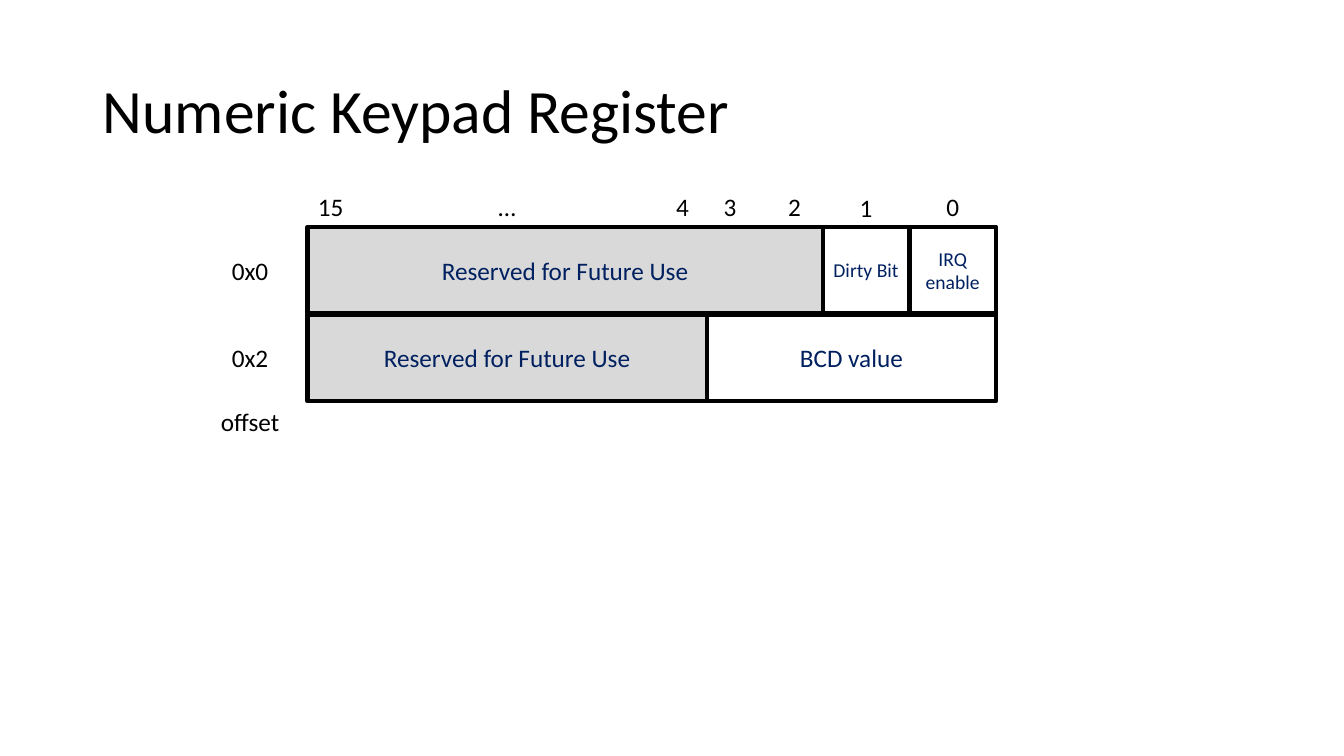
from dataclasses import dataclass
from typing import Optional

from pptx import Presentation
from pptx import util as u
from pptx.dml.color import RGBColor
from pptx.enum import shapes, text


@dataclass(frozen=True)
class Theme:
    """Colours, font and type sizes of the deck."""
    font: str = "Calibri"
    black: str = "000000"
    navy: str = "002060"
    grey: str = "D9D9D9"
    white: str = "FFFFFF"
    title_size: int = 44
    body_size: int = 18
    small_size: int = 14
    border: int = 3


@dataclass(frozen=True)
class Field:
    """A register field between two horizontal edges, in inches."""
    name: str
    row: int
    left: float
    right: float
    fill: Optional[str]
    size: int


@dataclass(frozen=True)
class Label:
    """A caption centred on a point, in inches."""
    caption: str
    center: float
    top: float
    width: float = 0.33


THEME = Theme()
ROW_TOP, ROW_PITCH, FIELD_HEIGHT = 2.25, 0.87, 0.86
LABEL_HEIGHT, BIT_TOP = 0.4, 1.85
LEFT, VALUE_LEFT, DIRTY_LEFT, IRQ_LEFT, RIGHT = 3.05, 7.01, 8.16, 9.02, 9.88
OFFSET_CENTER = 2.48

FIELDS = [
    Field("IRQ enable", 0, IRQ_LEFT, RIGHT, THEME.white, THEME.small_size),
    Field("Dirty Bit", 0, DIRTY_LEFT, IRQ_LEFT, THEME.white, THEME.small_size),
    Field("BCD value", 1, VALUE_LEFT, RIGHT, None, THEME.body_size),
    Field("Reserved for Future Use", 1, LEFT, VALUE_LEFT, THEME.grey, THEME.body_size),
    Field("Reserved for Future Use", 0, LEFT, DIRTY_LEFT, THEME.grey, THEME.body_size),
]
LABELS = [
    Label("0", 9.45, BIT_TOP),
    Label("1", 8.59, BIT_TOP + 0.01),
    Label("4", 6.77, BIT_TOP),
    Label("3", 7.24, BIT_TOP),
    Label("2", 7.88, BIT_TOP),
    Label("15", 3.28, BIT_TOP, 0.46),
    Label("…", 5.03, BIT_TOP, 0.38),
    Label("offset", OFFSET_CENTER, 3.98, 0.79),
    Label("0x0", OFFSET_CENTER, 2.48, 0.57),
    Label("0x2", OFFSET_CENTER, 2.48 + ROW_PITCH, 0.57),
]


def write(frame, wording: str, size: int, color: str, align) -> None:
    """Put one formatted paragraph into a text frame."""
    frame.text = wording
    para = frame.paragraphs[0]
    para.alignment = align
    for span in para.runs:
        span.font.name = THEME.font
        span.font.size = u.Pt(size)
        span.font.color.rgb = RGBColor.from_string(color)


def add_title(page, wording: str) -> None:
    """Move and format the title placeholder."""
    title = page.shapes.title
    title.left, title.top = u.Inches(0.92), u.Inches(0.4)
    title.width, title.height = u.Inches(11.5), u.Inches(1.45)
    frame = title.text_frame
    write(frame, wording, THEME.title_size, THEME.black, text.PP_ALIGN.LEFT)
    frame.vertical_anchor = text.MSO_ANCHOR.MIDDLE
    frame.paragraphs[0].line_spacing = 0.9


def add_field(page, field: Field) -> None:
    """Draw one bordered register field."""
    box = page.shapes.add_shape(
        shapes.MSO_SHAPE.RECTANGLE,
        u.Inches(field.left), u.Inches(ROW_TOP + field.row * ROW_PITCH),
        u.Inches(field.right - field.left), u.Inches(FIELD_HEIGHT))
    box.shadow.inherit = False
    if field.fill:
        box.fill.solid()
        box.fill.fore_color.rgb = RGBColor.from_string(field.fill)
    else:
        box.fill.background()
    box.line.color.rgb = RGBColor.from_string(THEME.black)
    box.line.width = u.Pt(THEME.border)
    box.text_frame.vertical_anchor = text.MSO_ANCHOR.MIDDLE
    write(box.text_frame, field.name, field.size, THEME.navy, text.PP_ALIGN.CENTER)


def add_label(page, label: Label) -> None:
    """Draw one bit number or offset caption."""
    box = page.shapes.add_textbox(
        u.Inches(label.center - label.width / 2), u.Inches(label.top),
        u.Inches(label.width), u.Inches(LABEL_HEIGHT))
    frame = box.text_frame
    frame.word_wrap = False
    frame.auto_size = text.MSO_AUTO_SIZE.SHAPE_TO_FIT_TEXT
    write(frame, label.caption, THEME.body_size, THEME.black, text.PP_ALIGN.CENTER)


def main() -> None:
    """Build and save the deck."""
    deck = Presentation()
    deck.slide_width, deck.slide_height = u.Inches(13.33), u.Inches(7.5)
    page = deck.slides.add_slide(deck.slide_layouts[5])
    add_title(page, "Numeric Keypad Register")
    for field in FIELDS:
        add_field(page, field)
    for label in LABELS:
        add_label(page, label)
    deck.save("out.pptx")


main()
